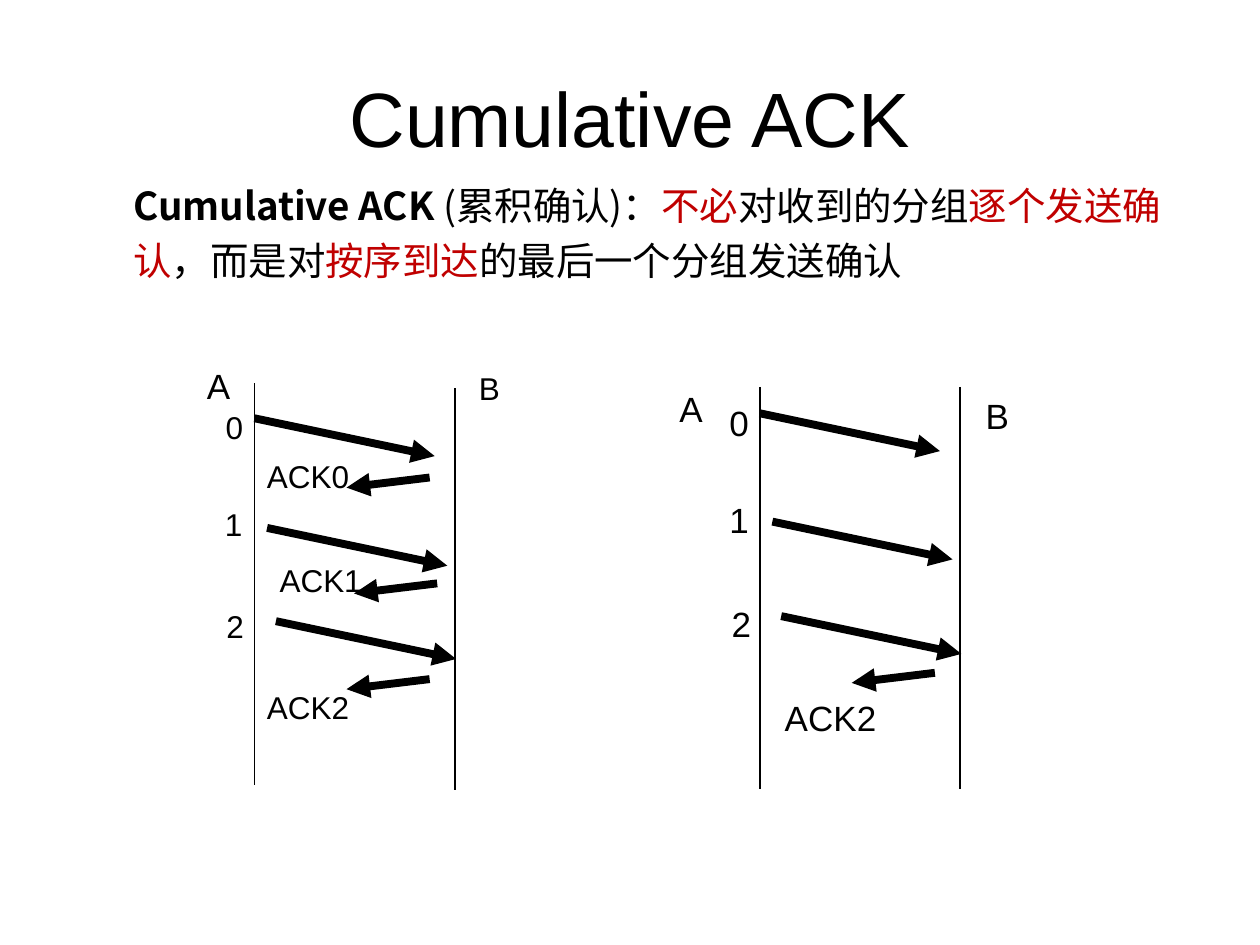
from dataclasses import dataclass

from lxml.etree import SubElement
from pptx import Presentation
from pptx.dml.color import RGBColor
from pptx.enum.shapes import MSO_CONNECTOR as Connector
from pptx.enum.text import MSO_ANCHOR as Anchor, MSO_AUTO_SIZE as AutoSize, PP_ALIGN as Align
from pptx.oxml.ns import qn
from pptx.util import Inches, Pt


@dataclass(frozen=True)
class Theme:
    ink: RGBColor = RGBColor(0x00, 0x00, 0x00)
    accent: RGBColor = RGBColor(0xC0, 0x00, 0x00)
    latin: str = "Arial"
    chinese: str = "Noto Sans CJK SC"
    title_size: int = 44
    body_size: int = 22
    large_label: int = 20
    small_label: int = 18
    timeline_width: float = 1
    arrow_width: float = 4.5


class SlideBuilder:
    def __init__(self, slide, theme):
        self.slide = slide
        self.theme = theme

    def place(self, shape, left, top, width, height):
        shape.left, shape.top = Inches(left), Inches(top)
        shape.width, shape.height = Inches(width), Inches(height)

    def run(self, paragraph, text, size, color=None, **formats):
        run = paragraph.add_run()
        run.text = text
        run.font.color.rgb = color or self.theme.ink
        formats = {"name": self.theme.latin, "size": Pt(size), **formats}
        for name, value in formats.items():
            setattr(run.font, name, value)
        east_asian = SubElement(run.font._element, qn("a:ea"))
        east_asian.set("typeface", formats["name"])

    def title(self, text, box):
        shape = self.slide.shapes.title
        self.place(shape, *box)
        shape.text_frame.vertical_anchor = Anchor.MIDDLE
        paragraph = shape.text_frame.paragraphs[0]
        paragraph.alignment = Align.CENTER
        self.run(paragraph, text, self.theme.title_size)

    def text_box(self, box, wrap=True, align=Align.LEFT):
        frame = self.slide.shapes.add_textbox(*map(Inches, box)).text_frame
        formats = {"word_wrap": wrap, "auto_size": AutoSize.SHAPE_TO_FIT_TEXT}
        for name, value in formats.items():
            setattr(frame, name, value)
        frame.paragraphs[0].alignment = align
        return frame.paragraphs[0]

    def definition(self, box, parts):
        paragraph = self.text_box(box)
        paragraph.line_spacing = 1.2
        for text, color, bold in parts:
            self.run(paragraph, text, self.theme.body_size, color,
                     name=self.theme.chinese, bold=bold)

    def label(self, text, left, top, width, size, align=Align.CENTER, wrap=False):
        height = 0.44 if size == self.theme.large_label else 0.4
        paragraph = self.text_box((left, top, width, height), wrap, align)
        self.run(paragraph, text, size)

    def line(self, start, end, width, arrow=False):
        connector = self.slide.shapes.add_connector(
            Connector.STRAIGHT, *map(Inches, (*start, *end)))
        connector.line.color.rgb = self.theme.ink
        connector.line.width = Pt(width)
        if arrow:
            SubElement(connector.line._get_or_add_ln(), qn("a:tailEnd"), type="triangle")
        SubElement(connector._element.spPr, qn("a:effectLst"))

    def timeline(self, x, top):
        self.line((x, top), (x, top + 3.19), self.theme.timeline_width)

    def packet(self, x, y):
        self.line((x, y), (x + 1.43, y + 0.3), self.theme.arrow_width, arrow=True)

    def reply(self, x, y):
        self.line((x, y), (x - 0.66, y + 0.08), self.theme.arrow_width, arrow=True)

    def exchange(self, size, timelines, hosts, packets, numbers, replies, acks):
        for x, y in packets:
            self.packet(x, y)
        for x, y in replies:
            self.reply(x, y)
        for text, left, top, width, host_size in hosts:
            self.label(text, left, top, width, host_size)
        for number, (left, top, width, wrap) in enumerate(numbers):
            self.label(str(number), left, top, width, size, wrap=wrap)
        for text, left, top, width in acks:
            self.label(text, left, top, width, size, Align.LEFT)
        for x, top in timelines:
            self.timeline(x, top)


def main():
    presentation = Presentation()
    presentation.slide_width, presentation.slide_height = Inches(10), Inches(7.5)
    slide = presentation.slides.add_slide(presentation.slide_layouts[5])
    theme = Theme()
    builder = SlideBuilder(slide, theme)

    # Title and definition
    builder.title("Cumulative ACK", (0.5, 0.3, 9, 1.25))
    builder.definition((0.96, 1.32, 8.44, 0.99), [
        ("Cumulative ACK", theme.ink, True),
        (" (累积确认)：", theme.ink, False),
        ("不必", theme.accent, False),
        ("对收到的分组", theme.ink, False),
        ("逐个发送确认", theme.accent, False),
        ("，而是对", theme.ink, False),
        ("按序到达", theme.accent, False),
        ("的最后一个分组发送确认", theme.ink, False),
    ])

    # Left: every packet is acknowledged
    builder.exchange(
        size=theme.small_label,
        timelines=[(2.02, 3.04), (3.61, 3.08)],
        hosts=[("A", 1.54, 2.84, 0.39, theme.large_label),
               ("B", 3.7, 2.88, 0.37, theme.small_label)],
        packets=[(2.02, 3.32), (2.12, 4.19), (2.19, 4.93)],
        numbers=[(1.69, 3.19, 0.34, False), (1.38, 3.96, 0.95, True),
                 (1.39, 4.77, 0.95, True)],
        replies=[(3.41, 3.79), (3.47, 4.63), (3.41, 5.39)],
        acks=[("ACK0", 2.02, 3.58, 0.85), ("ACK1", 2.12, 4.4, 0.85),
              ("ACK2", 2.02, 5.41, 0.85)],
    )

    # Right: one cumulative acknowledgement
    builder.exchange(
        size=theme.large_label,
        timelines=[(6.03, 3.07), (7.62, 3.07)],
        hosts=[("A", 5.29, 3.03, 0.39, theme.large_label),
               ("B", 7.72, 3.08, 0.39, theme.large_label)],
        packets=[(6.03, 3.28), (6.13, 4.14), (6.2, 4.89)],
        numbers=[(5.69, 3.14, 0.35, False), (5.39, 3.91, 0.95, True),
                 (5.41, 4.73, 0.95, True)],
        replies=[(7.42, 5.34)],
        acks=[("ACK2", 6.13, 5.48, 0.93)],
    )

    presentation.save("out.pptx")


if __name__ == "__main__":
    main()
